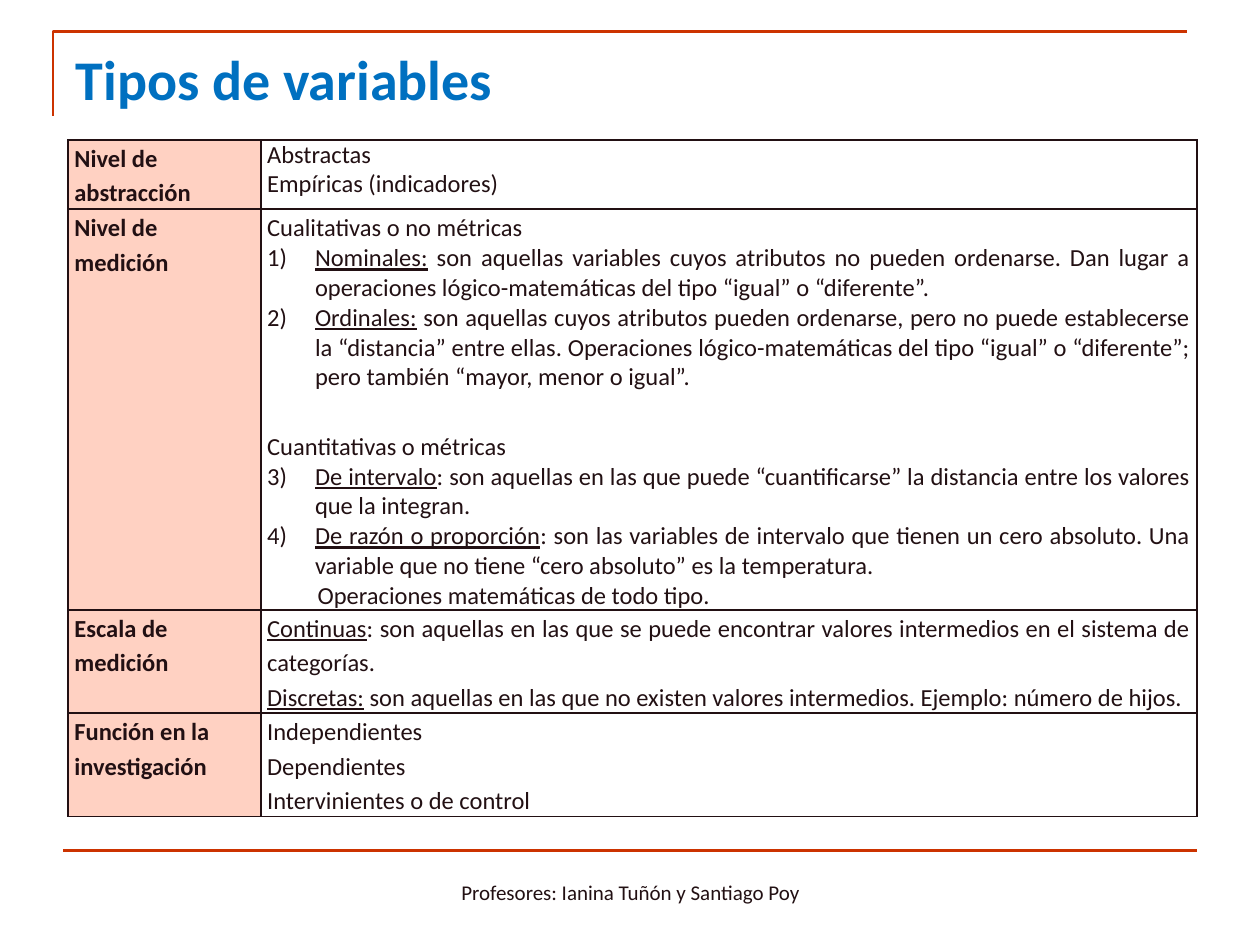
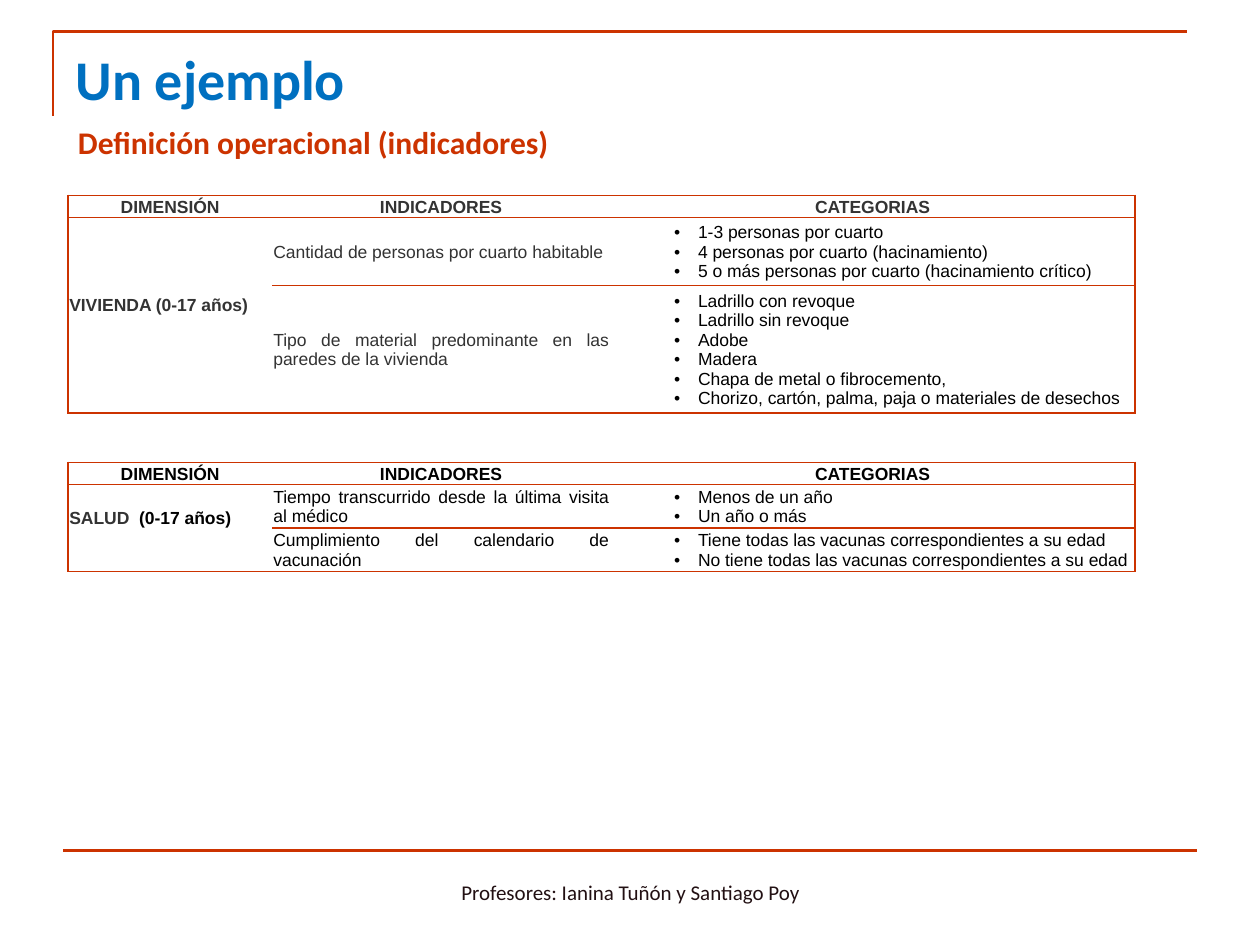
from lxml.etree import SubElement as Sub
from pptx import Presentation
from pptx.dml.color import RGBColor as RGB
from pptx.enum.shapes import MSO_CONNECTOR as Link
from pptx.enum.text import MSO_ANCHOR as Anchor, MSO_AUTO_SIZE as Fit, PP_ALIGN as Align
from pptx.oxml import parse_xml
from pptx.oxml.ns import nsdecls, qn
from pptx.util import Pt

PX = 9144  # 100 px to the inch
HUES = {"rust": "CC3300", "blue": "0070C0", "ink": "221013", "pink": "FFD1C2",
        "gray": "333333", "black": "000000", "white": "FFFFFF"}
TONE = {name: RGB.from_string(code) for name, code in HUES.items()}

# Paragraph kinds: alignment, line spacing, left indent, hanging indent, bullet
KINDS = {
    "head": (Align.LEFT, 1.15, 0, 0, None),
    "left": (Align.LEFT, 1, 0, 0, None),
    "mid": (Align.CENTER, 1, 0, 0, None),
    "just": (Align.JUSTIFY, 1, 0, 0, None),
    "wide": (Align.JUSTIFY, 1.15, 0, 0, None),
    "gap": (Align.JUSTIFY, 1.15, 0, 0, None),
    "deep": (Align.JUSTIFY, 1, 40, 0, None),
    "num1": (Align.JUSTIFY, 1, 38, -38, ("a:buAutoNum", {"type": "arabicParenR"})),
    "num3": (Align.JUSTIFY, 1, 38, -38,
             ("a:buAutoNum", {"type": "arabicParenR", "startAt": "3"})),
    "dot": (Align.JUSTIFY, 1, 69, -19, ("a:buChar", {"char": "•"})),
}


def write(frame, paras, face, size, hue, bold=False):
    """Each paragraph is (kind, run, ...); a run is a text or (text, "u" or hue)."""
    for i, (kind, *runs) in enumerate(paras):
        para = frame.add_paragraph() if i else frame.paragraphs[0]
        align, space, left, hang, mark = KINDS[kind]
        prop = para._p.get_or_add_pPr()
        prop.set("marL", str(left * PX))
        prop.set("indent", str(hang * PX))
        if mark:
            tag, attrs = mark
            Sub(prop, qn("a:buFont"), typeface="Arial" if kind == "dot" else "+mj-lt")
            Sub(prop, qn(tag), attrs)
        para.alignment, para.line_spacing = align, float(space)
        para.space_before = Pt(20 if kind == "gap" else 0)
        for item in runs:
            text, look = (item, "") if isinstance(item, str) else item
            run = para.add_run()
            run.text = text
            font = run.font
            font.name, font.size, font.bold = face, Pt(size), bold
            font.underline = look == "u"
            font.color.rgb = TONE[look if look in TONE else hue]


def edge(cell, sides, hue):
    """Draw the named sides (of L, R, T, B) and clear the others."""
    prop = cell._tc.get_or_add_tcPr()
    for i, side in enumerate("LRTB"):
        fill = "<a:noFill/>"
        if side in sides:
            fill = f'<a:solidFill><a:srgbClr val="{HUES[hue]}"/></a:solidFill>'
        prop.insert(i, parse_xml(
            f'<a:ln{side} {nsdecls("a")} w="12700">{fill}</a:ln{side}>'))


deck = Presentation()
deck.slide_width, deck.slide_height = 1000 * PX, 750 * PX

# Shared frame: corner rule, base rule, title and footer
pages = []
for name in ("Tipos de variables", "Un ejemplo"):
    page = deck.slides.add_slide(deck.slide_layouts[5])
    pen = page.shapes.build_freeform(42, 92, scale=PX)
    pen.add_line_segments([(42, 25), (942, 25)], close=False)
    corner = pen.convert_to_shape()
    corner.shadow.inherit = False
    corner.fill.background()
    base = page.shapes.add_connector(Link.STRAIGHT, 50 * PX, 675 * PX, 950 * PX, 675 * PX)
    Sub(base._element.spPr, qn("a:effectLst"))
    for rule in (corner, base):
        rule.line.color.rgb, rule.line.width = TONE["rust"], Pt(1.5)

    title = page.shapes.title
    title.left, title.top, title.width, title.height = [n * PX for n in (50, 30, 922, 61)]
    frame = title.text_frame
    frame.auto_size, frame.vertical_anchor = Fit.NONE, Anchor.TOP
    write(frame, [("left", name)], "Calibri", 32, "blue", True)

    foot = page.shapes.add_textbox(*[n * PX for n in (342, 683, 317, 50)]).text_frame
    foot.word_wrap, foot.vertical_anchor = True, Anchor.MIDDLE
    write(foot, [("mid", "Profesores: Ianina Tuñón y Santiago Poy")], "Calibri", 12, "ink")
    pages.append(page)

# Slide 1: kinds of variables, as (height, heading, body)
TYPES = [
    (55, "Nivel de abstracción", [("just", "Abstractas"), ("just", "Empíricas (indicadores)")]),
    (318, "Nivel de medición", [
        ("wide", "Cualitativas o no métricas"),
        ("num1", ("Nominales:", "u"), " son aquellas variables cuyos atributos no pueden "
         "ordenarse. Dan lugar a operaciones lógico-matemáticas del tipo “igual” o “diferente”."),
        ("num1", ("Ordinales:", "u"), " son aquellas cuyos atributos pueden ordenarse, pero no "
         "puede establecerse la “distancia” entre ellas. Operaciones lógico-matemáticas del tipo "
         "“igual” o “diferente”; pero también “mayor, menor o igual”."),
        ("gap", "Cuantitativas o métricas"),
        ("num3", ("De intervalo", "u"), ": son aquellas en las que puede “cuantificarse” la "
         "distancia entre los valores que la integran."),
        ("num3", ("De razón o proporción", "u"), ": son las variables de intervalo que tienen un "
         "cero absoluto. Una variable que no tiene “cero absoluto” es la temperatura."),
        ("deep", "Operaciones matemáticas de todo tipo.")]),
    (82, "Escala de medición", [
        ("wide", ("Continuas", "u"), ": son aquellas en las que se puede encontrar valores "
         "intermedios en el sistema de categorías."),
        ("wide", ("Discretas:", "u"), " son aquellas en las que no existen valores intermedios. "
         "Ejemplo: número de hijos.")]),
    (82, "Función en la investigación", [
        ("wide", "Independientes"), ("wide", "Dependientes"),
        ("wide", "Intervinientes o de control")]),
]
grid = pages[0].shapes.add_table(4, 2, 54 * PX, 111 * PX, 896 * PX, 537 * PX).table
grid.first_row = grid.horz_banding = False
grid.columns[0].width, grid.columns[1].width = 153 * PX, 743 * PX
for r, (high, head, body) in enumerate(TYPES):
    grid.rows[r].height = high * PX
    for c, paras in enumerate(([("head", head)], body)):
        cell = grid.cell(r, c)
        cell.margin_left = cell.margin_right = 5 * PX
        cell.margin_top = cell.margin_bottom = 0
        if c:
            cell.fill.background()
        else:
            cell.fill.solid()
            cell.fill.fore_color.rgb = TONE["pink"]
        edge(cell, "LRTB", "ink")
        write(cell.text_frame, paras, "Calibri", 14, "ink", c == 0)

# Slide 2: subtitle
sub = pages[1].shapes.add_textbox(*[n * PX for n in (52, 93, 652, 40)]).text_frame
sub.word_wrap = True
write(sub, [("just", "Definición operacional (indicadores)")], "Calibri", 18, "rust", True)

# Slide 2: tables, as (top, heights, text hue, dimension runs, indicators)
HEADS = ("DIMENSIÓN", "INDICADORES", "CATEGORIAS")
CASES = [
    (155, (17, 54, 94), "gray", ["VIVIENDA (0-17 años)"], [
        ("Cantidad de personas por cuarto habitable",
         ["1-3 personas por cuarto", "4 personas por cuarto (hacinamiento)",
          "5 o más personas por cuarto (hacinamiento crítico)"]),
        ("Tipo de material predominante en las paredes de la vivienda",
         ["Ladrillo con revoque", "Ladrillo sin revoque", "Adobe", "Madera",
          "Chapa de metal o fibrocemento,",
          "Chorizo, cartón, palma, paja o materiales de desechos"])]),
    (367, (17, 34, 34), "black", [("SALUD ", "gray"), " (0-17 años)"], [
        ("Tiempo transcurrido desde la última visita al médico",
         ["Menos de un año", "Un año o más"]),
        ("Cumplimiento del calendario de vacunación",
         ["Tiene todas las vacunas correspondientes a su edad",
          "No tiene todas las vacunas correspondientes a su edad"])]),
]
for top, highs, hue, theme, items in CASES:
    grid = pages[1].shapes.add_table(3, 3, 54 * PX, top * PX, 847 * PX, sum(highs) * PX).table
    grid.first_row = grid.horz_banding = False
    for col, wide in zip(grid.columns, (162, 268, 417)):
        col.width = wide * PX
    for row, high in zip(grid.rows, highs):
        row.height = high * PX
    for cell in grid.iter_cells():
        cell.margin_left = cell.margin_right = cell.margin_top = PX
        cell.margin_bottom = 0
        cell.vertical_anchor = Anchor.MIDDLE
        cell.fill.solid()
        cell.fill.fore_color.rgb = TONE["white"]
    for c, head in enumerate(HEADS):
        write(grid.cell(0, c).text_frame, [("mid", head)], "Arial", 10, hue, True)
        for r in range(3):
            edge(grid.cell(r, c), ("LTB", "TB", "RTB")[c], "rust")
    side = grid.cell(1, 0)
    side.merge(grid.cell(2, 0))
    side.margin_bottom = 16 * PX
    write(side.text_frame, [("left", *theme)], "Arial", 10, hue, True)
    for r, (sign, kinds) in enumerate(items, 1):
        write(grid.cell(r, 1).text_frame, [("just", sign)], "Arial", 10, hue)
        write(grid.cell(r, 2).text_frame, [("dot", kind) for kind in kinds],
              "Arial", 10, "black")

deck.save("out.pptx")
